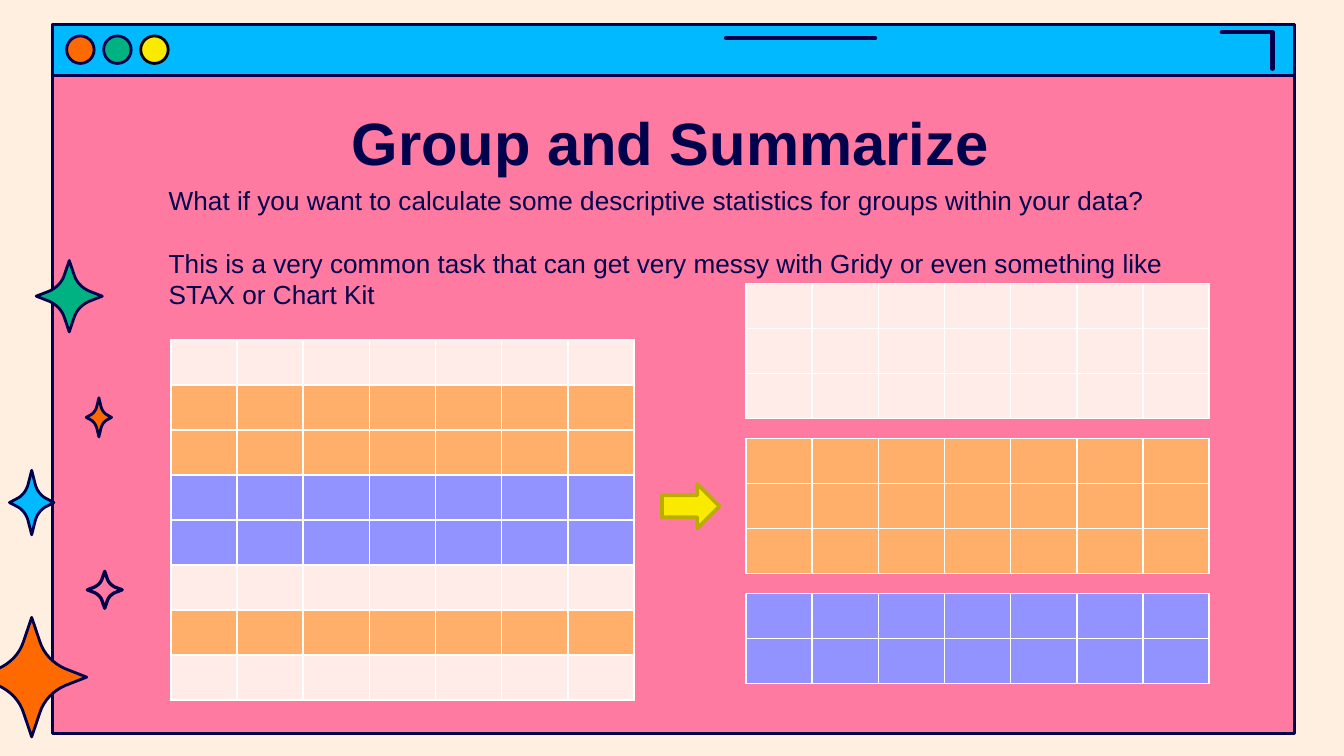
from pptx import Presentation
from pptx.dml.color import RGBColor
from pptx.enum.shapes import MSO_CONNECTOR, MSO_SHAPE
from pptx.enum.text import PP_ALIGN
from pptx.oxml.ns import qn
from pptx.util import Cm, Pt
from lxml import etree

RECTANGLE, OVAL, ARROW = MSO_SHAPE.RECTANGLE, MSO_SHAPE.OVAL, MSO_SHAPE.RIGHT_ARROW
STRAIGHT = MSO_CONNECTOR.STRAIGHT
LEFT, CENTER = PP_ALIGN.LEFT, PP_ALIGN.CENTER

COLORS = {
    "cream": "FFEFE1", "pink": "FF7AA1", "navy": "00004D", "blue": "00B9FF",
    "green": "00B181", "yellow": "FAEA00", "orange": "FF6A00", "black": "000000",
    "olive": "B9AD00", "white": "FFFFFF",
    "blush": "FFEBE7", "peach": "FFAF69", "violet": "9393FF",
}
COLUMNS, COLUMN_WIDTH, ROW_HEIGHT = 7, 1.25, 0.85


def rgb(name):
    return RGBColor.from_string(COLORS[name])


def star_arm():
    """Points of one quarter of a unit star, from the top tip to the right tip."""
    bend = [(0.15, -0.59), (0.22, -0.39), (0.39, -0.23), (0.61, -0.14)]
    steps = 8
    points = [(0, -1)]
    for step in range(steps + 1):
        t = step / steps
        weights = ((1 - t) ** 3, 3 * t * (1 - t) ** 2, 3 * t * t * (1 - t), t ** 3)
        points.append(tuple(sum(w * p[axis] for w, p in zip(weights, bend))
                            for axis in (0, 1)))
    return points + [(1, 0)]


def star_outline():
    """The whole unit star, mirrored from one arm, clockwise from the top."""
    right = star_arm()
    right += [(x, -y) for x, y in reversed(right[:-1])]
    return right + [(-x, y) for x, y in reversed(right[1:-1])]


class SlideWriter:
    def __init__(self, deck, font="Arial", ink="navy"):
        self.font, self.ink = font, ink
        self.page = deck.slides.add_slide(deck.slide_layouts[6])

    def background(self, color):
        fill = self.page.background.fill
        fill.solid()
        fill.fore_color.rgb = rgb(color)

    def paint(self, shape, fill, line, width):
        shape.shadow.inherit = False
        if fill:
            shape.fill.solid()
            shape.fill.fore_color.rgb = rgb(fill)
        else:
            shape.fill.background()
        shape.line.color.rgb = rgb(line or self.ink)
        shape.line.width = Pt(width)

    def shape(self, kind, left, top, width, height, fill, line=None, weight=1.5):
        box = self.page.shapes.add_shape(kind, Cm(left), Cm(top), Cm(width), Cm(height))
        self.paint(box, fill, line, weight)

    def star(self, x, y, width, height, fill, weight=1.5):
        """A curved four-point star centred on x, y."""
        points = [(Cm(x + dx * width / 2), Cm(y + dy * height / 2))
                  for dx, dy in star_outline()]
        builder = self.page.shapes.build_freeform(*points[0])
        builder.add_line_segments(points[1:], close=True)
        self.paint(builder.convert_to_shape(), fill, None, weight)

    def stroke(self, *points, weight=2.25):
        """Round-ended straight lines through the points."""
        for start, end in zip(points, points[1:]):
            line = self.page.shapes.add_connector(
                STRAIGHT, *(Cm(value) for value in start + end))
            line.line.color.rgb = rgb(self.ink)
            line.line.width = Pt(weight)
            properties = line._element.spPr
            properties.find(qn("a:ln")).set("cap", "rnd")
            etree.SubElement(properties, qn("a:effectLst"))

    def text(self, left, top, width, height, lines, size, bold=False, align=LEFT,
             indent=0, gap=0, inset_top=0.25):
        box = self.page.shapes.add_textbox(Cm(left), Cm(top), Cm(width), Cm(height))
        frame = box.text_frame
        frame.word_wrap = True
        frame.margin_left = frame.margin_right = frame.margin_bottom = Cm(0.25)
        frame.margin_top = Cm(inset_top)
        for number, line in enumerate(lines):
            para = frame.add_paragraph() if number else frame.paragraphs[0]
            para.text = line
            para.alignment = align
            para.space_before = Pt(gap if number else 0)
            para.font.name, para.font.size, para.font.bold = self.font, Pt(size), bold
            para.font.color.rgb = rgb(self.ink)
            if indent:
                para._p.get_or_add_pPr().set("marL", str(Cm(indent)))

    def grid(self, left, top, row_colors):
        """An empty table with one fill per row and white borders."""
        table = self.page.shapes.add_table(
            len(row_colors), COLUMNS, Cm(left), Cm(top),
            Cm(COLUMNS * COLUMN_WIDTH), Cm(len(row_colors) * ROW_HEIGHT)).table
        table.first_row = table.horz_banding = False
        for column in table.columns:
            column.width = Cm(COLUMN_WIDTH)
        for row, color in zip(table.rows, row_colors):
            row.height = Cm(ROW_HEIGHT)
            for cell in row.cells:
                cell.margin_top = cell.margin_bottom = 0
                self.borders(cell)
                cell.fill.solid()
                cell.fill.fore_color.rgb = rgb(color)

    def borders(self, cell, color="white", weight=1):
        properties = cell._tc.get_or_add_tcPr()
        for side in ("lnL", "lnR", "lnT", "lnB"):
            line = etree.SubElement(properties, qn(f"a:{side}"), w=str(Pt(weight)))
            fill = etree.SubElement(line, qn("a:solidFill"))
            etree.SubElement(fill, qn("a:srgbClr"), val=COLORS[color])


def main():
    deck = Presentation()
    deck.slide_width, deck.slide_height = Cm(25.4), Cm(14.29)
    writer = SlideWriter(deck)
    writer.background("cream")

    # Browser window
    writer.shape(RECTANGLE, 0.99, 0.46, 23.47, 13.41, "pink")
    writer.shape(RECTANGLE, 0.99, 0.46, 23.47, 0.97, "blue")
    writer.stroke((23.09, 0.61), (24.05, 0.61), (24.05, 1.3))
    writer.stroke((13.72, 0.72), (16.54, 0.72))
    buttons = [("orange", "navy"), ("green", "navy"), ("yellow", "black")]
    for number, (fill, line) in enumerate(buttons):
        writer.shape(OVAL, 1.26 + 0.7 * number, 0.68, 0.52, 0.52, fill, line)

    writer.star(0.6, 9.5, 0.84, 1.22, "blue")
    writer.star(1.98, 11.15, 0.66, 0.7, None, weight=1.75)
    writer.star(0.6, 12.8, 2.08, 2.26, "orange")
    writer.star(1.31, 5.6, 1.25, 1.35, "green")
    writer.star(1.87, 7.89, 0.48, 0.74, "orange")

    writer.text(1.93, 1.63, 21.49, 1.6, ["Group and Summarize"], 32, bold=True,
                align=CENTER, inset_top=0.37)
    writer.text(2.51, 3.23, 20.57, 8.92, [
        "What if you want to calculate some descriptive statistics for groups "
        "within your data?",
        "This is a very common task that can get very messy with Gridy or even "
        "something like STAX or Chart Kit",
    ], 14, indent=0.43, gap=17)

    # Mixed rows on the left, sorted into groups on the right
    rows = ["blush", "peach", "peach", "violet", "violet", "blush", "peach", "blush"]
    writer.grid(3.23, 6.43, rows)
    top, gap = 5.36, 0.38
    for color in dict.fromkeys(rows):
        group = [row for row in rows if row == color]
        writer.grid(14.1, top, group)
        top += len(group) * ROW_HEIGHT + gap
    writer.shape(ARROW, 12.51, 9.15, 1.09, 0.84, "yellow", "olive", weight=2)

    deck.save("out.pptx")


if __name__ == "__main__":
    main()
